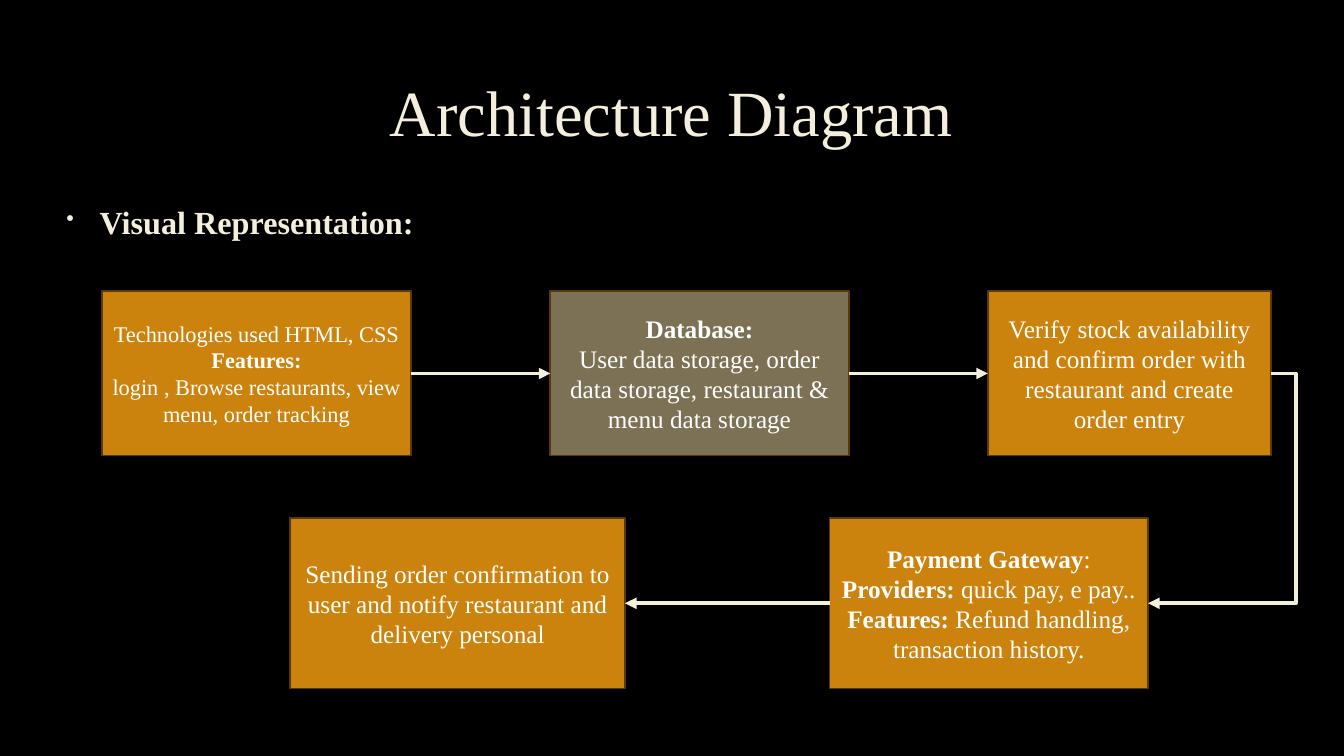
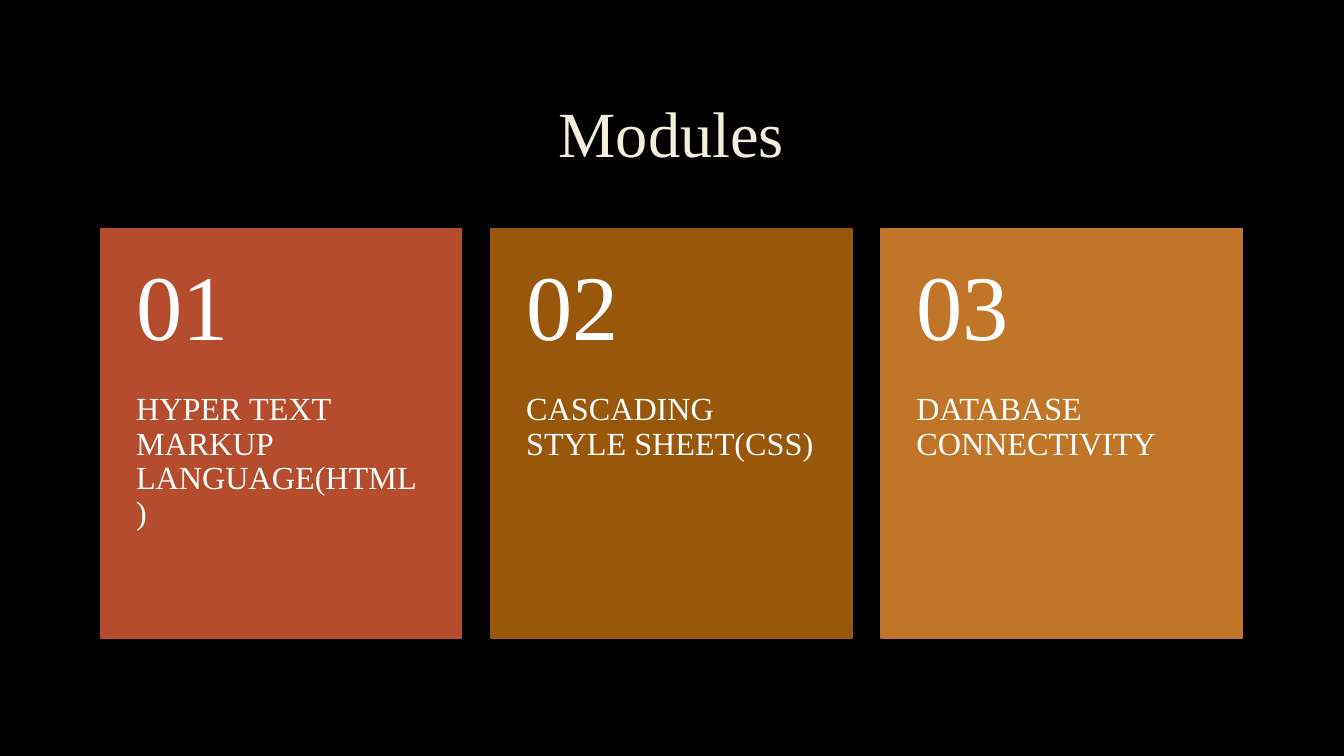
import pptx
import pptx.util
import pptx.dml.color
import pptx.enum.shapes
import pptx.enum.text
import pptx.oxml.ns
import lxml.etree

RGB = pptx.dml.color.RGBColor
Pt = pptx.util.Pt
ALIGN = pptx.enum.text.PP_ALIGN
ANCHOR = pptx.enum.text.MSO_ANCHOR
LINK = pptx.enum.shapes.MSO_CONNECTOR
RECT = pptx.enum.shapes.MSO_SHAPE.RECTANGLE

BLACK = RGB(0x00, 0x00, 0x00)
CREAM = RGB(0xF4, 0xEE, 0xDC)
WHITE = RGB(0xFF, 0xFF, 0xFF)
AMBER = RGB(0xCC, 0x83, 0x0E)
OLIVE = RGB(0x7C, 0x71, 0x54)
BROWN = RGB(0x59, 0x39, 0x06)
RUST = RGB(0xB5, 0x4C, 0x2D)
UMBER = RGB(0x99, 0x57, 0x0C)
COPPER = RGB(0xC1, 0x75, 0x29)
FONT = "Times New Roman"

# The grid has ten columns and ten rows to the inch.
COLS, ROWS = 133.33, 75
CELL = pptx.util.Inches(0.1)
LEFT, RIGHT = 1, 3


def span(*cells):
    """Turn grid cells into lengths."""
    return [round(n * CELL) for n in cells]


def inner(box, left, top, width, height):
    """Place a part, given in cells, relative to a box."""
    return box[0] + left, box[1] + top, width, height


def write(frame, *lines, size=18, color=WHITE, align=ALIGN.LEFT,
          anchor=ANCHOR.TOP, lead=1.0, pads=(1, 0.5, 1, 0.5)):
    """Fill a frame with one paragraph a line; *stars* mark bold."""
    frame.word_wrap = True
    frame.auto_size = pptx.enum.text.MSO_AUTO_SIZE.NONE
    frame.vertical_anchor = anchor
    (frame.margin_left, frame.margin_top,
     frame.margin_right, frame.margin_bottom) = span(*pads)
    for i, line in enumerate(lines):
        para = frame.add_paragraph() if i else frame.paragraphs[0]
        para.alignment = align
        para.line_spacing = lead
        for j, part in enumerate(line.split("*")):
            if part:
                run = para.add_run()
                run.text = part
                run.font.name = FONT
                run.font.size = Pt(size)
                run.font.bold = j % 2 == 1
                run.font.color.rgb = color


def label(shapes, box, text, **style):
    area = shapes.add_textbox(*span(*box))
    write(area.text_frame, text, **style)
    return area


def block(shapes, box, fill, edge):
    rect = shapes.add_shape(RECT, *span(*box))
    rect.shadow.inherit = False
    rect.fill.solid()
    rect.fill.fore_color.rgb = fill
    rect.line.color.rgb = edge
    rect.line.width = Pt(1.25)
    return rect


def tag(parent, kind, **attrs):
    """Add a DrawingML element."""
    head = pptx.oxml.ns.qn("a:" + kind)
    return lxml.etree.SubElement(parent, head, **attrs)


def arrow(shapes, start, out, end, into, bend=None):
    """Join two blocks; bend is the elbow's place as a share of its width."""
    kind = LINK.STRAIGHT if bend is None else LINK.ELBOW
    link = shapes.add_connector(kind, 0, 0, 0, 0)
    link.begin_connect(start, out)
    link.end_connect(end, into)
    link.line.color.rgb = CREAM
    link.line.width = Pt(2.75)
    props = link._element.spPr
    tag(props.find(pptx.oxml.ns.qn("a:ln")), "tailEnd", type="triangle")
    tag(props, "effectLst")
    if bend is not None:
        guides = props.find(".//" + pptx.oxml.ns.qn("a:avLst"))
        tag(guides, "gd", name="adj1", fmla=f"val {round(bend * 100000)}")


def page(deck, title, top):
    """Add a slide with its title at the given row."""
    slide = deck.slides.add_slide(deck.slide_layouts[5])
    head = slide.shapes.title
    head.left, head.top, head.width, head.height = span(10, top, 113.2, 13.8)
    write(head.text_frame, title, size=46, color=CREAM, lead=0.9,
          align=ALIGN.CENTER, anchor=ANCHOR.MIDDLE)
    return slide


def bullet(shapes, box, text):
    area = label(shapes, box, text, size=23, color=CREAM, lead=1.1)
    para = area.text_frame.paragraphs[0]
    para.space_before = Pt(4.6)
    para.space_after = Pt(6)
    props = para._p.get_or_add_pPr()
    indent, hang = span(3.8, -3.3)
    props.set("marL", str(indent))
    props.set("indent", str(hang))
    tint = tag(props, "buClr")
    tag(tint, "srgbClr", val=str(CREAM))
    tag(props, "buSzPct", val="70000")
    tag(props, "buChar", char="•")


def flow(shapes, box):
    """Draw the order flow: three steps to the right, two back to the left."""
    low = 22.5

    def step(left, top, width, *lines, fill=AMBER, size=18):
        high = 16.9 if top else 16.3
        rect = block(shapes, inner(box, left, top, width, high), fill, BROWN)
        write(rect.text_frame, *lines, size=size,
              align=ALIGN.CENTER, anchor=ANCHOR.MIDDLE)
        return rect

    client = step(0, 0, 30.7, "Technologies used HTML, CSS", "*Features:*",
                  "login , Browse restaurants, view menu, order tracking",
                  size=16)
    store = step(44.5, 0, 29.6, "*Database:*",
                 "User data storage, order data storage, "
                 "restaurant & menu data storage", fill=OLIVE)
    check = step(87.9, 0, 28.1, "Verify stock availability and confirm order "
                 "with restaurant and create order entry")
    pay = step(72.2, low, 31.6, "*Payment Gateway*:",
               "*Providers:* quick pay, e pay..",
               "*Features: *Refund handling, transaction history.")
    notice = step(18.7, low, 33.2, "Sending order confirmation to user and "
                  "notify restaurant and delivery personal")
    arrow(shapes, client, RIGHT, store, LEFT)
    arrow(shapes, store, RIGHT, check, LEFT)
    arrow(shapes, check, RIGHT, pay, RIGHT, bend=-0.2)
    arrow(shapes, pay, LEFT, notice, RIGHT)


def card(shapes, box, mark, text, fill):
    parts = shapes.add_group_shape().shapes
    wide, high = box[2:]
    split = high * 0.4
    block(parts, box, fill, fill)
    label(parts, inner(box, 0, split, wide, high - split), text,
          size=23, lead=0.9, pads=(3.5, 0, 3.5, 3.6))
    label(parts, inner(box, 0, 0, wide, split), mark, size=66, lead=0.9,
          anchor=ANCHOR.MIDDLE, pads=(3.5, 1.8, 3.5, 1.8))


def cards(shapes, box, items, gap=2.9):
    """Share a box among equal numbered cards."""
    wide = (box[2] - gap * (len(items) - 1)) / len(items)
    for i, (text, fill) in enumerate(items):
        spot = inner(box, i * (wide + gap), 0, wide, box[3])
        card(shapes, spot, f"{i + 1:02}", text, fill)


def main():
    deck = pptx.Presentation()
    deck.slide_width, deck.slide_height = span(COLS, ROWS)
    back = deck.slide_master.background.fill
    back.solid()
    back.fore_color.rgb = BLACK

    design = page(deck, "Architecture Diagram", 4.6).shapes
    bullet(design, (5.1, 19.2, 124.8, 6), "*Visual Representation:*")
    flow(design, (10.1, 28.9, 116, 39.4))

    parts = page(deck, "Modules", 6.7).shapes
    cards(parts, (10, 22.7, 113.2, 40.6), [
        ("HYPER TEXT MARKUP LANGUAGE(HTML)", RUST),
        ("CASCADING STYLE SHEET(CSS)", UMBER),
        ("DATABASE CONNECTIVITY", COPPER),
    ])
    deck.save("out.pptx")


if __name__ == "__main__":
    main()
